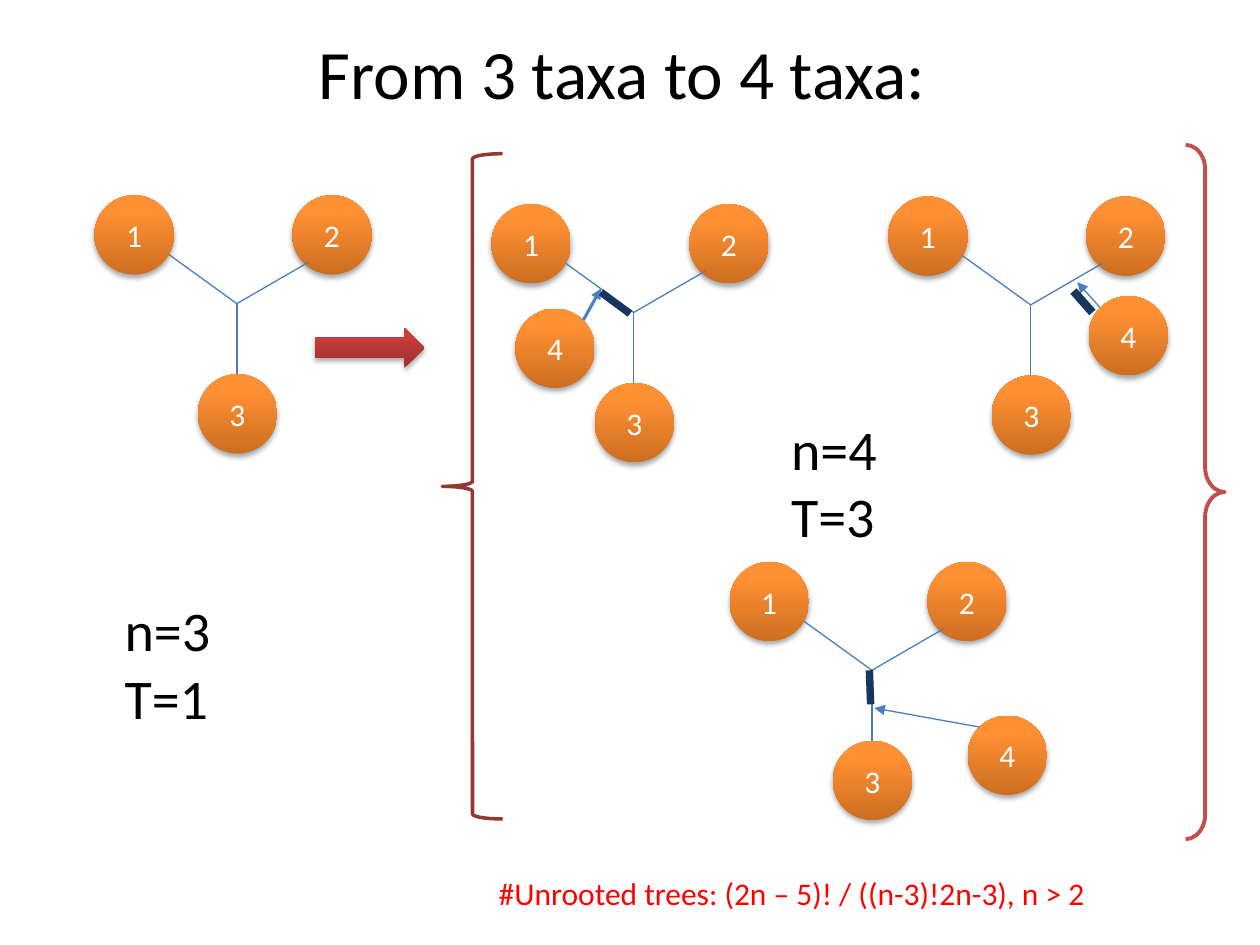
import copy

import pptx
import pptx.dml.color
import pptx.enum.shapes
import pptx.enum.text
import pptx.oxml
import pptx.oxml.ns
import pptx.util
from lxml import etree
from pptx.util import Inches

SHAPE = pptx.enum.shapes.MSO_SHAPE
ALIGN = pptx.enum.text.PP_ALIGN
ANCHOR = pptx.enum.text.MSO_ANCHOR
FONT = "Calibri"
NODE_SIZE = 0.63

COLORS = {
    "text": "000000",
    "node_text": "FFFFFF",
    "formula": "FF0000",
    "branch": "4B7EBC",
    "split_branch": "17375E",
    "left_brace": "953735",
    "right_brace": "C0504D",
}
NODE_GRADIENT = [(0, "CC6E20"), (0.8, "FF9034"), (1, "FF9136")]
ARROW_GRADIENT = [(0, "9C2F2D"), (0.8, "CB3E3A"), (1, "CE3B37")]

# Offsets from the top left corner of a tree
HUB = (1.13, 0.86)
TAXA = {"1": (0, 0), "2": (1.57, 0), "3": (0.82, 1.42)}
BRANCH_STARTS = [(0.59, 0.47), (1.7, 0.53), (1.13, 1.42)]

TREES = [(0.75, 1.55), (3.9, 1.62), (7.05, 1.56), (5.79, 4.46)]

# Fourth taxon: node corner, arrow start, arrow end, arrow width
ADDED_TAXA = [
    ((4.09, 2.45), (4.63, 2.54), (4.77, 2.29), 1.75),
    ((8.64, 2.35), (8.73, 2.44), (8.55, 2.24), 0.75),
    ((7.68, 5.68), (7.77, 5.77), (6.94, 5.62), 0.75),
]
SPLIT_BRANCHES = [
    ((4.77, 2.32), (5, 2.49), 4.25),
    ((8.52, 2.31), (8.67, 2.48), 4.75),
    ((6.9, 5.32), (6.91, 5.59), 4.25),
]


def rgb(name):
    return pptx.dml.color.RGBColor.from_string(COLORS[name])


def add_span(para, text, size, color):
    span = para.add_run()
    span.text = text
    span.font.name = FONT
    span.font.size = pptx.util.Pt(size)
    span.font.color.rgb = rgb(color)


def add_text(slide, bounds, lines, size, color="text"):
    box = slide.shapes.add_textbox(*map(Inches, bounds))
    frame = box.text_frame
    frame.word_wrap = True
    for index, line in enumerate(lines):
        para = frame.add_paragraph() if index else frame.paragraphs[0]
        add_span(para, line, size, color)
    return frame


def add_title(slide, text):
    frame = add_text(slide, (0.5, 0.3, 9, 0.54), [text], 39.6)
    frame.vertical_anchor = ANCHOR.MIDDLE
    frame.paragraphs[0].alignment = ALIGN.CENTER


def add_glossy_shape(slide, kind, bounds, gradient):
    """Add a borderless shape with an upward gradient and a soft shadow."""
    shape = slide.shapes.add_shape(kind, *map(Inches, bounds))
    shape.line.fill.background()
    shape.fill.gradient()
    shape.fill.gradient_angle = 90
    properties = shape.element.spPr
    stop_list = properties.find(".//" + pptx.oxml.ns.qn("a:gsLst"))
    stop_list.append(copy.deepcopy(stop_list[-1]))
    for stop, (position, color) in zip(shape.fill.gradient_stops, gradient):
        stop.position = position
        stop.color.rgb = pptx.dml.color.RGBColor.from_string(color)

    shape.shadow.inherit = False
    effects = properties.find(pptx.oxml.ns.qn("a:effectLst"))
    effects.append(pptx.oxml.parse_xml(
        f'<a:outerShdw {pptx.oxml.ns.nsdecls("a")} blurRad="40000" dist="23000"'
        ' dir="5400000" rotWithShape="0"><a:srgbClr val="000000">'
        '<a:alpha val="35000"/></a:srgbClr></a:outerShdw>'))
    return shape


def add_node(slide, left, top, label):
    node = add_glossy_shape(slide, SHAPE.OVAL, (left, top, NODE_SIZE, NODE_SIZE), NODE_GRADIENT)
    frame = node.text_frame
    frame.margin_left = frame.margin_right = 0
    frame.vertical_anchor = ANCHOR.MIDDLE
    para = frame.paragraphs[0]
    para.alignment = ALIGN.CENTER
    add_span(para, label, 18, "node_text")


def add_line(slide, start, end, color="branch", width=0.75, arrow=False):
    line = slide.shapes.add_connector(
        pptx.enum.shapes.MSO_CONNECTOR.STRAIGHT, *map(Inches, (*start, *end)))
    line.line.color.rgb = rgb(color)
    line.line.width = pptx.util.Pt(width)
    properties = line.element.spPr
    if arrow:
        outline = properties.find(pptx.oxml.ns.qn("a:ln"))
        etree.SubElement(outline, pptx.oxml.ns.qn("a:tailEnd"), type="triangle")
    etree.SubElement(properties, pptx.oxml.ns.qn("a:effectLst"))


def add_tree(slide, left, top):
    """Add three taxa joined at one hub."""
    for label, (x, y) in TAXA.items():
        add_node(slide, left + x, top + y, label)
    hub = (left + HUB[0], top + HUB[1])
    for x, y in BRANCH_STARTS:
        add_line(slide, (left + x, top + y), hub)


def add_brace(slide, kind, bounds, color, width):
    brace = slide.shapes.add_shape(kind, *map(Inches, bounds))
    brace.shadow.inherit = False
    brace.fill.background()
    brace.line.color.rgb = rgb(color)
    brace.line.width = pptx.util.Pt(width)
    return brace


def main():
    deck = pptx.Presentation()
    deck.slide_width, deck.slide_height = Inches(10), Inches(7.5)
    slide = deck.slides.add_slide(deck.slide_layouts[6])

    add_title(slide, "From 3 taxa to 4 taxa: ")
    for left, top in TREES:
        add_tree(slide, left, top)
    add_glossy_shape(slide, SHAPE.RIGHT_ARROW, (2.5, 2.6, 0.87, 0.32), ARROW_GRADIENT)

    for corner, start, end, width in ADDED_TAXA:
        add_node(slide, *corner, "4")
        add_line(slide, start, end, width=width, arrow=True)
    for start, end, width in SPLIT_BRANCHES:
        add_line(slide, start, end, "split_branch", width)

    add_brace(slide, SHAPE.LEFT_BRACE, (3.51, 1.22, 0.48, 5.28), "left_brace", 2)
    right_brace = add_brace(
        slide, SHAPE.RIGHT_BRACE, (9.41, 1.15, 0.31, 5.51), "right_brace", 2.25)
    right_brace.adjustments[0] = 0.63

    add_text(slide, (6.18, 3.24, 1.3, 1.18), ["n=4", "T=3"], 32)
    add_text(slide, (0.89, 4.68, 1.3, 1.18), ["n=3", "T=1"], 32)
    add_text(slide, (3.86, 6.89, 5.12, 0.4),
             ["#Unrooted trees: (2n – 5)! / ((n-3)!2n-3), n > 2"], 18, "formula")
    deck.save("out.pptx")


if __name__ == "__main__":
    main()
